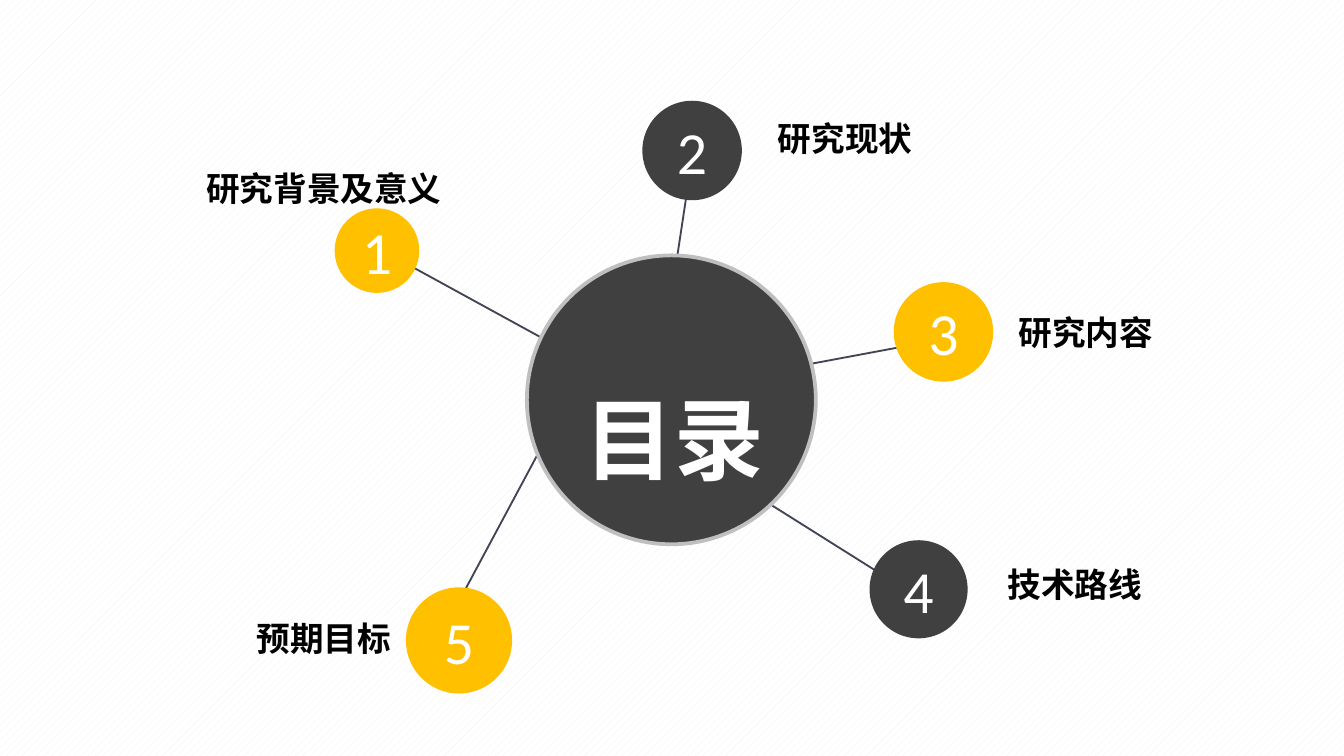
from lxml import etree
from pptx import Presentation
from pptx.dml.color import RGBColor
from pptx.enum.dml import MSO_PATTERN
from pptx.enum.shapes import MSO_CONNECTOR, MSO_SHAPE
from pptx.enum.text import MSO_ANCHOR, MSO_AUTO_SIZE, PP_ALIGN
from pptx.oxml.ns import qn
from pptx.util import Pt

PX = 9144  # EMU per px, 100 px to the inch
WIDTH = 1000

WHITE = RGBColor(0xFF, 0xFF, 0xFF)
BLACK = RGBColor(0x00, 0x00, 0x00)
STRIPE = RGBColor(0xF2, 0xF2, 0xF2)
AMBER = RGBColor(0xFF, 0xC0, 0x00)
CHARCOAL = RGBColor(0x40, 0x40, 0x40)
SILVER = RGBColor(0xBF, 0xBF, 0xBF)
SLATE = RGBColor(0x41, 0x44, 0x55)

LATIN = "Calibri"
CHINESE = "Noto Sans CJK SC"

# Each topic: name, spoke (x1, y1, x2, y2), circle (left, top, diameter),
# label box (left, top, width, height), label alignment, label wraps
TOPICS = [
    ("研究背景及意义", (417, 259, 302, 196), (249, 155, 63),
     (132, 120, 218, 64), PP_ALIGN.CENTER, True),
    ("研究现状", (496, 243, 511, 144), (478, 75, 74),
     (569, 83, 120, 40), PP_ALIGN.LEFT, False),
    ("研究内容", (543, 282, 709, 251), (665, 210, 74),
     (748, 227, 173, 40), PP_ALIGN.LEFT, True),
    ("技术路线", (525, 345, 657, 428), (647, 402, 73),
     (740, 415, 120, 40), PP_ALIGN.LEFT, False),
    ("预期目标", (406, 327, 346, 439), (302, 437, 79),
     (181, 455, 120, 40), PP_ALIGN.LEFT, False),
]
CIRCLE_FILLS = [AMBER, CHARCOAL, AMBER, CHARCOAL, AMBER]


class MindMap:
    def __init__(self, slide):
        self.slide = slide
        self.shapes = slide.shapes

    def background(self):
        fill = self.slide.background.fill
        fill.patterned()
        fill.pattern = MSO_PATTERN.WIDE_UPWARD_DIAGONAL
        fill.fore_color.rgb = STRIPE
        fill.back_color.rgb = WHITE

    def set_text(self, holder, text, size, color, font=CHINESE, bold=True,
                 align=PP_ALIGN.CENTER):
        holder.text_frame.text = text
        paragraph = holder.text_frame.paragraphs[0]
        paragraph.alignment = align
        for run in paragraph.runs:
            run.font.name = font
            run.font.size = Pt(size)
            run.font.bold = bold
            run.font.color.rgb = color
            east_asian = etree.SubElement(run.font._element, qn("a:ea"))
            east_asian.set("typeface", font)

    def spoke(self, *ends):
        line = self.shapes.add_connector(
            MSO_CONNECTOR.STRAIGHT, *(end * PX for end in ends))
        line.line.color.rgb = SLATE
        line.line.width = Pt(1)
        etree.SubElement(line._element.spPr, qn("a:effectLst"))

    def circle(self, left, top, diameter, fill, border=None):
        disc = self.shapes.add_shape(
            MSO_SHAPE.OVAL, left * PX, top * PX, diameter * PX, diameter * PX)
        disc.shadow.inherit = False
        disc.fill.solid()
        disc.fill.fore_color.rgb = fill
        if border is None:
            disc.line.fill.background()
        else:
            disc.line.color.rgb = border
            disc.line.width = Pt(2)
        return disc

    def number(self, value, place, fill):
        disc = self.circle(*place, fill)
        frame = disc.text_frame
        frame.margin_left = frame.margin_right = 0
        frame.vertical_anchor = MSO_ANCHOR.MIDDLE
        self.set_text(disc, str(value), 32, WHITE, LATIN, bold=False)

    def label(self, text, box, align, wraps):
        caption = self.shapes.add_textbox(*(length * PX for length in box))
        caption.text_frame.word_wrap = wraps
        caption.text_frame.auto_size = MSO_AUTO_SIZE.SHAPE_TO_FIT_TEXT
        self.set_text(caption, text, 18, BLACK, align=align)

    def title(self, text, left, top, width, height):
        heading = self.shapes.title
        heading.left, heading.top = left * PX, top * PX
        heading.width, heading.height = width * PX, height * PX
        frame = heading.text_frame
        frame.word_wrap = False
        frame.auto_size = MSO_AUTO_SIZE.SHAPE_TO_FIT_TEXT
        frame.vertical_anchor = MSO_ANCHOR.TOP
        self.set_text(heading, text, 48, WHITE)
        # Bring the title in front of the hub
        self.shapes._spTree.append(heading._element)


def main():
    prs = Presentation()
    prs.slide_width = WIDTH * PX
    prs.slide_height = WIDTH * PX * 9 // 16
    contents = MindMap(prs.slides.add_slide(prs.slide_layouts[5]))
    contents.background()

    # Spokes lie behind every circle
    for _, spoke, *_ in TOPICS:
        contents.spoke(*spoke)

    # Numbered topics
    for value, (topic, fill) in enumerate(zip(TOPICS, CIRCLE_FILLS), start=1):
        name, _, place, box, align, wraps = topic
        contents.number(value, place, fill)
        contents.label(name, box, align, wraps)

    # Hub with the title
    contents.circle(392, 190, 215, CHARCOAL, SILVER)
    contents.title("目录", 424, 281, 155, 91)

    prs.save("out.pptx")


if __name__ == "__main__":
    main()
